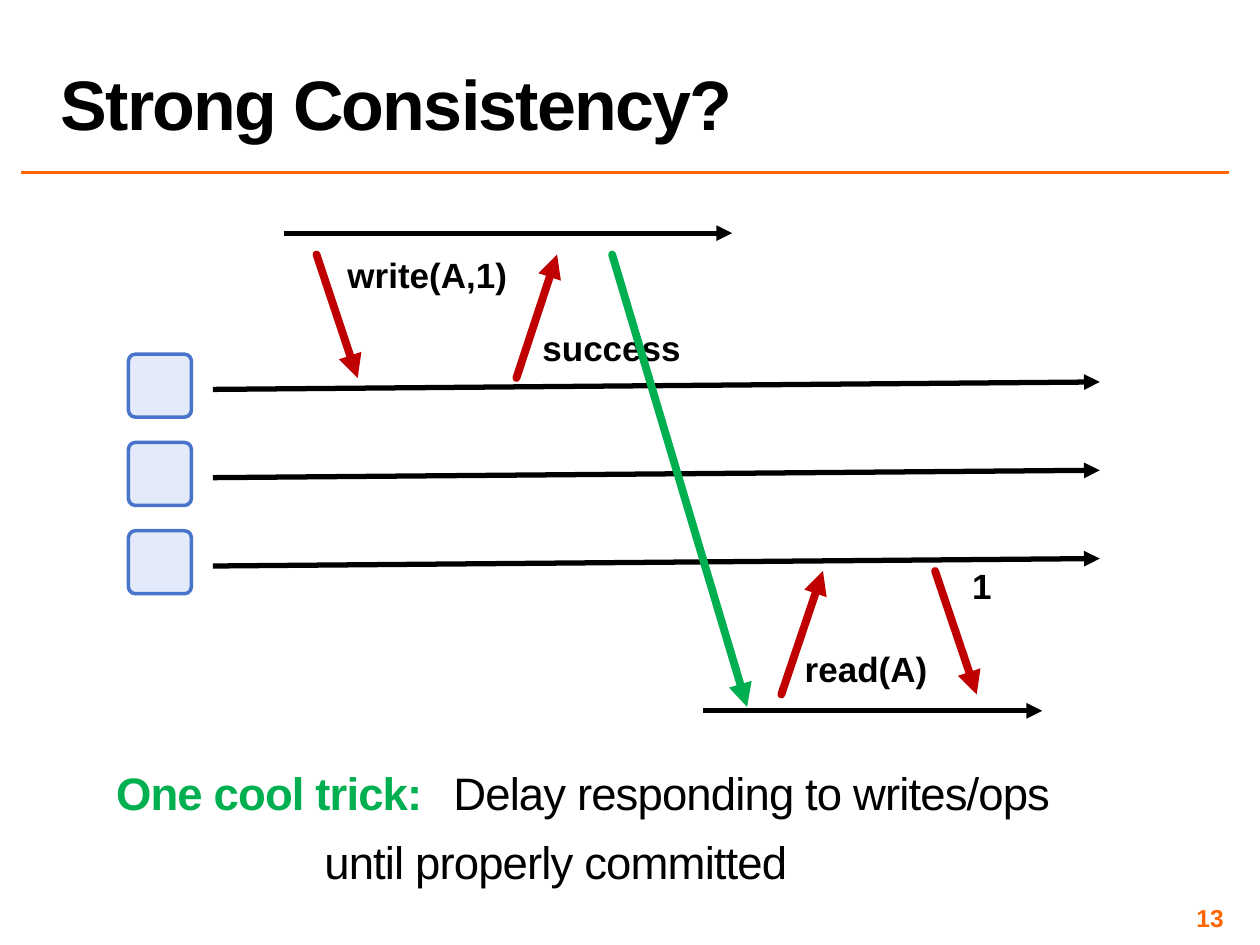
from typing import NamedTuple

from pptx import Presentation, util as u
from pptx.dml.color import RGBColor
from pptx.enum import shapes, text
from pptx.oxml.ns import qn
from lxml import etree

BLACK = RGBColor(0x00, 0x00, 0x00)
RED = RGBColor(0xC0, 0x00, 0x00)
GREEN = RGBColor(0x00, 0xB0, 0x50)
ORANGE = RGBColor(0xFF, 0x66, 0x00)
PALE = RGBColor(0xE3, 0xEA, 0xF9)
BLUE = RGBColor(0x49, 0x74, 0xCB)


class Arrow(NamedTuple):
    x1: float
    y1: float
    x2: float
    y2: float
    color: RGBColor = BLACK
    width: float = 3
    head: bool = True


class Label(NamedTuple):
    words: str
    x: float
    y: float
    w: float


def draw_line(slide, arrow: Arrow) -> None:
    ends = [u.Cm(v) for v in arrow[:4]]
    line = slide.shapes.add_connector(shapes.MSO_CONNECTOR.STRAIGHT, *ends)
    line.line.color.rgb = arrow.color
    line.line.width = u.Pt(arrow.width)
    props = line.line._get_or_add_ln()
    if arrow.color in (RED, GREEN):
        props.set("cap", "rnd")
    if arrow.head:
        etree.SubElement(props, qn("a:tailEnd"), type="triangle")
    etree.SubElement(line._element.spPr, qn("a:effectLst"))


def add_run(para, words: str, size: float, color=BLACK, bold=True, gap=0) -> None:
    run = para.add_run()
    run.text = words
    form = {"name": "Arial", "size": u.Pt(size), "bold": bold}
    for key, value in form.items():
        setattr(run.font, key, value)
    run.font.color.rgb = color
    if gap:
        run._r.get_or_add_rPr().set("spc", str(gap))


def add_box(slide, x: float, y: float, w: float, h: float, **form):
    box = slide.shapes.add_textbox(*(u.Cm(v) for v in (x, y, w, h)))
    frame = box.text_frame
    for key, value in {"word_wrap": True, **form}.items():
        setattr(frame, key, value)
    return frame


def draw_label(slide, label: Label) -> None:
    para = add_box(slide, label.x, label.y, label.w, 1.12).paragraphs[0]
    para.alignment = text.PP_ALIGN.CENTER
    add_run(para, label.words, 20)


def draw_server(slide, y: float) -> None:
    draw_line(slide, Arrow(4.29, y + 0.71, 22.17, y + 0.56))
    box = slide.shapes.add_shape(
        shapes.MSO_SHAPE.ROUNDED_RECTANGLE,
        u.Cm(2.59), u.Cm(y), u.Cm(1.27), u.Cm(1.27))
    box.adjustments[0] = 0.11
    box.shadow.inherit = False
    box.fill.solid()
    box.fill.fore_color.rgb = PALE
    box.line.color.rgb = BLUE
    box.line.width = u.Pt(2)


def draw_title(slide) -> None:
    title = slide.shapes.title
    place = {"left": 0.97, "top": 0.05, "width": 24.43, "height": 2.97}
    for key, value in place.items():
        setattr(title, key, u.Cm(value))
    frame = title.text_frame
    frame.vertical_anchor = text.MSO_ANCHOR.BOTTOM
    para = frame.paragraphs[0]
    para.alignment = text.PP_ALIGN.LEFT
    para.line_spacing = 0.8
    add_run(para, "Strong Consistency?", 40, gap=-100)


def draw_trick(slide, edges: dict) -> None:
    frame = add_box(slide, 2.24, 15.1, 21.06, 2.87, **edges)
    first, second = frame.paragraphs[0], frame.add_paragraph()
    # The tab and the indent line up the two parts of the sentence
    tabs = etree.SubElement(first._p.get_or_add_pPr(), qn("a:tabLst"))
    etree.SubElement(tabs, qn("a:tab"), pos=str(u.Cm(6.8)), algn="l")
    second._p.get_or_add_pPr().set("marL", str(u.Cm(4.2)))
    second.space_before = u.Pt(2)
    for para in (first, second):
        para.line_spacing = 1.2
    add_run(first, "One cool trick:\t", 26, GREEN, gap=-50)
    add_run(first, "Delay responding to writes/ops", 26, bold=False, gap=-50)
    add_run(second, "until properly committed", 26, bold=False, gap=-50)


ARROWS = [
    Arrow(5.72, 4.7, 14.76, 4.7),  # writing client
    Arrow(6.38, 5.13, 7.21, 7.62, RED, 4.5),
    Arrow(10.41, 7.62, 11.23, 5.13, RED, 4.5),
    Arrow(14.17, 14.33, 21.01, 14.33),  # reading client
    Arrow(15.75, 14, 16.59, 11.51, RED, 4.5),
    Arrow(18.85, 11.51, 19.69, 14, RED, 4.5),
]
LABELS = [
    Label("write(A,1)", 6.38, 4.98, 4.47),
    Label("success", 10.41, 6.45, 3.84),
    Label("read(A)", 15.82, 12.93, 3.28),
    Label("1", 19.25, 11.25, 1.09),
]


def main() -> None:
    deck = Presentation()
    deck.slide_width, deck.slide_height = u.Cm(25.4), u.Cm(19.05)
    slide = deck.slides.add_slide(deck.slide_layouts[5])
    sides = ("left", "top", "right", "bottom")
    edges = {f"margin_{side}": u.Cm(0.1) for side in sides}

    # Title, rule and page number
    draw_title(slide)
    draw_line(slide, Arrow(0.43, 3.48, 24.77, 3.48, ORANGE, 2, False))
    page = add_box(slide, 18.85, 18.21, 5.92, 0.58,
                   vertical_anchor=text.MSO_ANCHOR.MIDDLE, **edges)
    page.paragraphs[0].alignment = text.PP_ALIGN.RIGHT
    add_run(page.paragraphs[0], "13", 14, ORANGE)

    # Servers, clients and messages
    for row in range(3):
        draw_server(slide, 7.14 + 1.78 * row)
    for arrow in ARROWS:
        draw_line(slide, arrow)
    for label in LABELS:
        draw_label(slide, label)

    # Order between the two clients
    draw_line(slide, Arrow(12.34, 5.13, 15.06, 14.25, GREEN, 4.5))
    draw_trick(slide, edges)
    deck.save("out.pptx")


if __name__ == "__main__":
    main()
